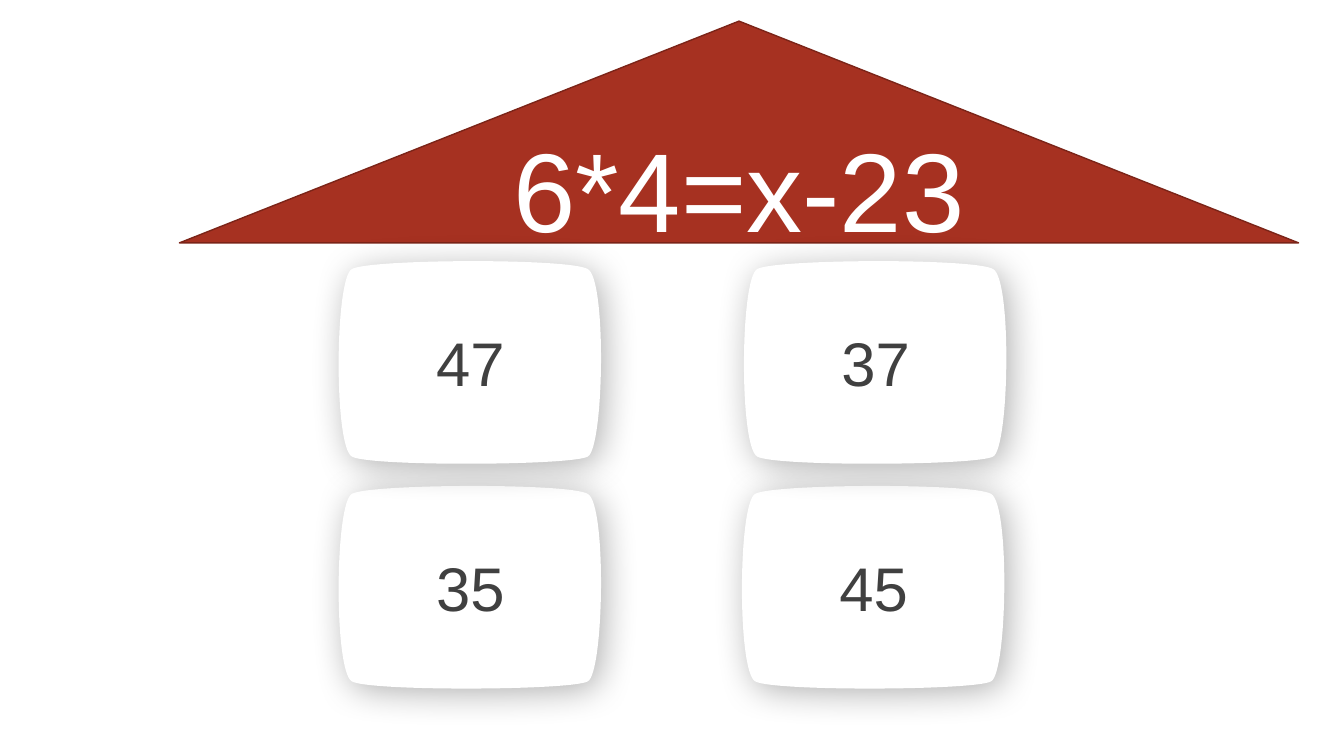
"""Build a slide with an equation on a roof above four answer cards."""
from dataclasses import dataclass

from lxml import etree
from pptx import Presentation
from pptx.dml.color import RGBColor
from pptx.enum.shapes import MSO_SHAPE
from pptx.enum.text import MSO_ANCHOR, PP_ALIGN
from pptx.oxml.ns import qn
from pptx.shapes.autoshape import Shape
from pptx.slide import Slide
from pptx.util import Emu, Pt

TRIANGLE = MSO_SHAPE.ISOSCELES_TRIANGLE
MIDDLE = MSO_ANCHOR.MIDDLE
CENTER = PP_ALIGN.CENTER

EMU_PER_PX = 9144
BLANK_LAYOUT = 6
FONT = "Arial"
COLORS = {
    "roof": "A63121",
    "roof_edge": "7B2418",
    "card": "FFFFFF",
    "equation": "FFFFFF",
    "answer": "404040",
    "shadow": "000000",
}
CARD_START = (252, 11)
CARD_CURVES = [
    (271, 21), (268, 189), (252, 197),
    (237, 206), (35, 207), (18, 197),
    (0, 187), (1, 20), (18, 11),
    (35, 1), (234, 0), CARD_START,
]


@dataclass(frozen=True)
class Card:
    text: str
    left: int
    top: int


CARDS = [
    Card("45", 731, 479),
    Card("37", 733, 256),
    Card("35", 331, 479),
    Card("47", 331, 256),
]


def px(length: int) -> Emu:
    return Emu(length * EMU_PER_PX)


def color(name: str) -> RGBColor:
    return RGBColor.from_string(COLORS[name])


def set_text(shape: Shape, text: str, size: int, color_name: str) -> None:
    frame = shape.text_frame
    frame.word_wrap = True
    frame.vertical_anchor = MIDDLE
    paragraph = frame.paragraphs[0]
    paragraph.text = text
    paragraph.alignment = CENTER
    paragraph.font.name = FONT
    paragraph.font.size = Pt(size)
    paragraph.font.color.rgb = color(color_name)


def fill_shape(shape: Shape, color_name: str) -> None:
    shape.shadow.inherit = False
    shape.fill.solid()
    shape.fill.fore_color.rgb = color(color_name)


def curve_outline(shape: Shape) -> None:
    outline = next(shape.element.iter(qn("a:path")))
    segments = outline.findall(qn("a:lnTo"))
    for first in range(0, len(segments), 3):
        curve = etree.Element(qn("a:cubicBezTo"))
        segments[first].addprevious(curve)
        for segment in segments[first:first + 3]:
            curve.append(segment[0])
            outline.remove(segment)


def add_soft_shadow(shape: Shape) -> None:
    effects = shape.element.spPr.find(qn("a:effectLst"))
    shadow = etree.SubElement(
        effects, qn("a:outerShdw"), blurRad=str(Pt(25)), dist=str(Pt(5)),
        dir=str(45 * 60000), algn="tl", rotWithShape="0")
    shade = etree.SubElement(shadow, qn("a:srgbClr"), val=COLORS["shadow"])
    etree.SubElement(shade, qn("a:alpha"), val="30000")


def add_roof(page: Slide, text: str) -> None:
    roof = page.shapes.add_shape(TRIANGLE, px(178), px(21), px(1110), px(220))
    roof.adjustments[0] = 0.5
    fill_shape(roof, "roof")
    roof.line.color.rgb = color("roof_edge")
    roof.line.width = Pt(1)
    set_text(roof, text, 80, "equation")


def add_card(page: Slide, card: Card) -> None:
    builder = page.shapes.build_freeform(*CARD_START, scale=EMU_PER_PX)
    builder.add_line_segments(CARD_CURVES, close=True)
    shape = builder.convert_to_shape(px(card.left), px(card.top))
    curve_outline(shape)
    fill_shape(shape, "card")
    shape.line.fill.background()
    add_soft_shadow(shape)
    set_text(shape, card.text, 44, "answer")


def main() -> None:
    deck = Presentation()
    deck.slide_width, deck.slide_height = px(1333), px(750)
    page = deck.slides.add_slide(deck.slide_layouts[BLANK_LAYOUT])
    add_roof(page, "6*4=x-23")
    for card in CARDS:
        add_card(page, card)
    deck.save("out.pptx")


if __name__ == "__main__":
    main()
